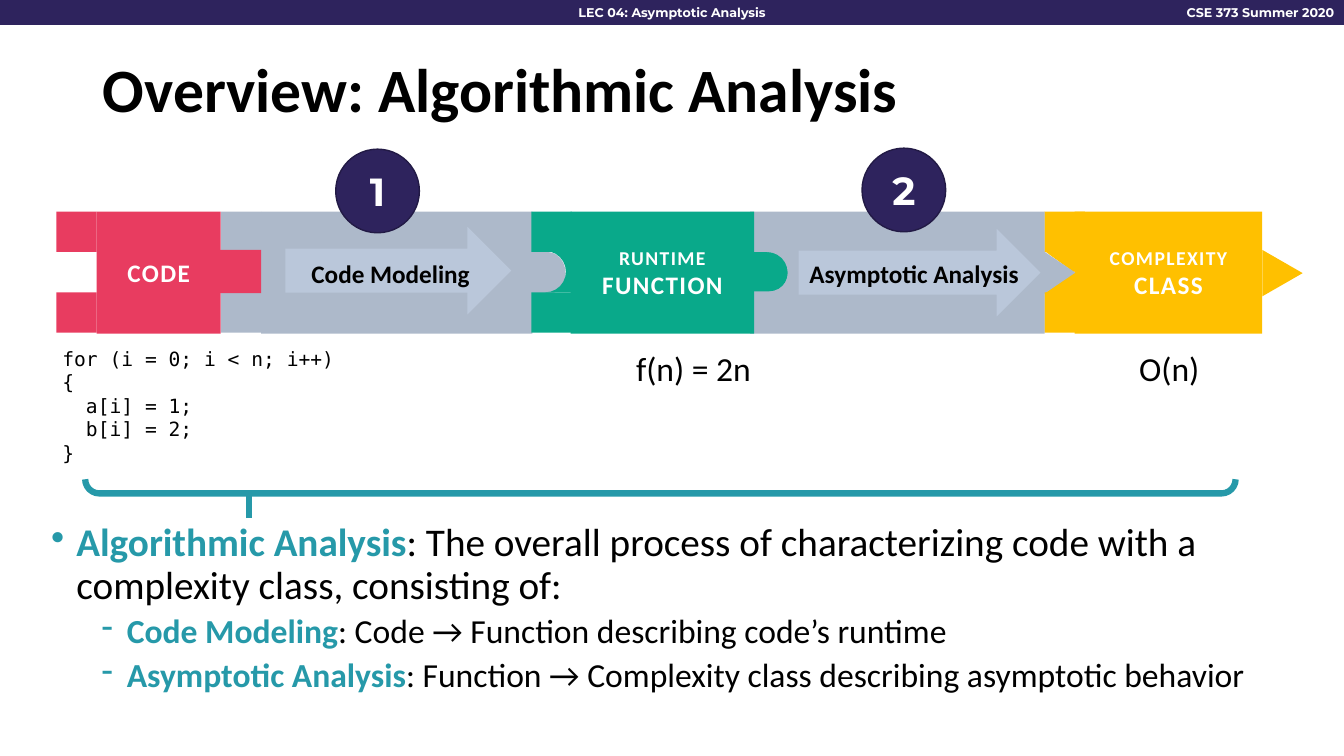
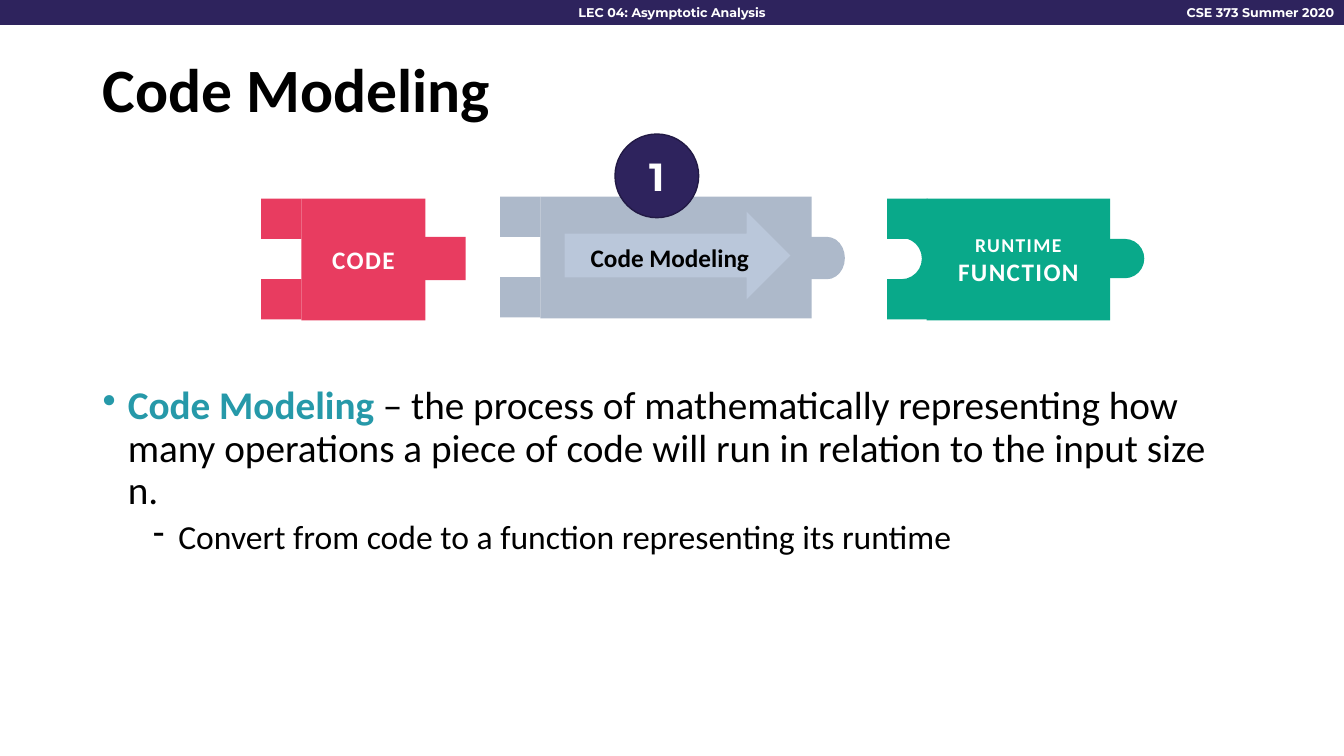
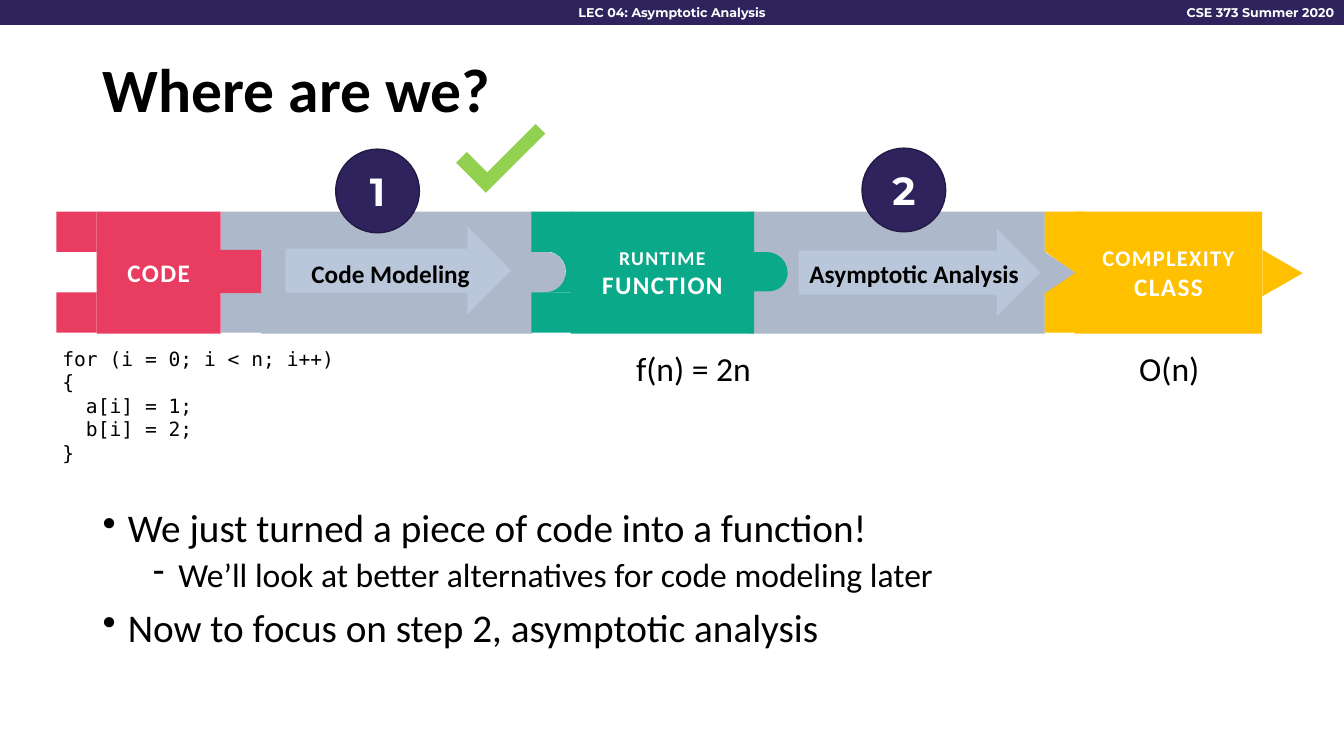
from lxml.etree import SubElement
from pptx import Presentation
from pptx.dml.color import RGBColor
from pptx.enum.shapes import MSO_CONNECTOR, MSO_SHAPE
from pptx.enum.text import MSO_ANCHOR, MSO_AUTO_SIZE, PP_ALIGN
from pptx.oxml.ns import qn
from pptx.util import Emu, Pt

SCALE = 9144  # EMU in one px, 100 px to the inch
COLORS = {
    "purple": "2E235D", "purple edge": "221A45", "white": "FFFFFF", "black": "000000",
    "red": "E83C60", "gray": "ADB9CA", "arrow": "BAC7DA", "green": "09A98A",
    "yellow": "FFC000", "teal": "2699A9", "check": "92D050",
}
BODY_FONT, CODE_FONT, HEADER_FONT = "Calibri", "DejaVu Sans Mono", "Montserrat"
TERM = {"color": "teal", "bold": True}
CODE_LINES = ["for (i = 0; i < n; i++) {", "  a[i] = 1;", "  b[i] = 2;", "}"]
# Bullet levels: character, left margin, size, space before
LEVELS = [("•", 25, 28, 10), ("-", 75, 24, 5)]


def px(length):
    return Emu(round(length * SCALE))


def rgb(name):
    return RGBColor.from_string(COLORS[name])


def write(frame, lines, size=18, color="black", bold=False, font=BODY_FONT,
          align=None, tracking=0, line_spacing=None):
    """Fill a frame; a line is a string or a list of (text, format overrides)."""
    paragraphs = []
    for index, line in enumerate(lines):
        paragraph = frame.add_paragraph() if index else frame.paragraphs[0]
        paragraph.alignment = align
        if line_spacing:
            paragraph.line_spacing = line_spacing
        for text, changes in [(line, {})] if isinstance(line, str) else line:
            run = paragraph.add_run()
            run.text = text
            run.font.name = font
            run.font.size = Pt(changes.get("size", size))
            run.font.bold = changes.get("bold", bold)
            run.font.color.rgb = rgb(changes.get("color", color))
            if tracking:
                run.font._element.set("spc", str(tracking * 100))
        paragraphs.append(paragraph)
    return paragraphs


class Deck:
    """Holds the style, the current slide and the origin of the piece being drawn."""

    def __init__(self):
        self.presentation = Presentation()
        self.presentation.slide_width = px(1333)
        self.presentation.slide_height = px(750)
        self.slide = None
        self.origin = (0, 0)

    def place(self, left, top, width, height):
        dx, dy = self.origin
        return px(left + dx), px(top + dy), px(width), px(height)

    def new_slide(self, title):
        self.slide = self.presentation.slides.add_slide(self.presentation.slide_layouts[5])
        self.origin = (0, 0)
        self.shape(MSO_SHAPE.RECTANGLE, -3, -1, 1337, 25, "purple", line="purple")
        header = {"size": 9, "font": HEADER_FONT, "color": "white", "bold": True}
        self.text(["CSE 373 Summer 2020"], 1156, 0, 177, 25, align=PP_ALIGN.RIGHT, **header)
        self.text(["LEC 04: Asymptotic Analysis"], 328, 0, 677, 25,
                  align=PP_ALIGN.CENTER, **header)
        placeholder = self.slide.shapes.title
        (placeholder.left, placeholder.top,
         placeholder.width, placeholder.height) = self.place(92, 50, 1150, 83)
        placeholder.text_frame.vertical_anchor = MSO_ANCHOR.MIDDLE
        write(placeholder.text_frame, [title], size=44, bold=True,
              align=PP_ALIGN.LEFT, line_spacing=0.9)

    def shape(self, kind, left, top, width, height, fill=None, line=None, line_width=1,
              rotation=0, flip=False, adjustments=()):
        shape = self.slide.shapes.add_shape(kind, *self.place(left, top, width, height))
        shape.shadow.inherit = False
        shape.rotation = rotation
        if fill:
            shape.fill.solid()
            shape.fill.fore_color.rgb = rgb(fill)
        else:
            shape.fill.background()
        if line:
            shape.line.color.rgb = rgb(line)
            shape.line.width = Pt(line_width)
        else:
            shape.line.fill.background()
        if flip:
            shape._element.spPr.find(qn("a:xfrm")).set("flipH", "1")
        for index, value in enumerate(adjustments):
            shape.adjustments[index] = value
        return shape

    def label(self, shape, lines, **text_format):
        shape.text_frame.vertical_anchor = MSO_ANCHOR.MIDDLE
        write(shape.text_frame, lines, color="white", bold=True,
              align=PP_ALIGN.CENTER, **text_format)

    def text(self, lines, left, top, width, height, wrap=True, **text_format):
        box = self.slide.shapes.add_textbox(*self.place(left, top, width, height))
        box.text_frame.word_wrap = wrap
        if not wrap:
            box.text_frame.auto_size = MSO_AUTO_SIZE.SHAPE_TO_FIT_TEXT
        return write(box.text_frame, lines, **text_format)

    def bullets(self, items, left, top, width, height):
        """Items are (level, list of runs)."""
        lines = [[(text, {"size": LEVELS[level][2], **changes}) for text, changes in runs]
                 for level, runs in items]
        paragraphs = self.text(lines, left, top, width, height, line_spacing=0.9)
        for index, (paragraph, (level, _)) in enumerate(zip(paragraphs, items)):
            character, margin, _, space = LEVELS[level]
            paragraph.level = level
            if index:
                paragraph.space_before = Pt(space)
            properties = paragraph._p.get_or_add_pPr()
            properties.set("marL", str(px(margin)))
            properties.set("indent", str(px(-25)))
            SubElement(properties, qn("a:buChar")).set("char", character)

    def line(self, x1, y1, x2, y2, color, width):
        connector = self.slide.shapes.add_connector(
            MSO_CONNECTOR.STRAIGHT, px(x1), px(y1), px(x2), px(y2))
        connector.line.color.rgb = rgb(color)
        connector.line.width = Pt(width)
        SubElement(connector._element.spPr, qn("a:effectLst"))

    def block(self, left, width, color, lines=(), top=210):
        block = self.shape(MSO_SHAPE.RECTANGLE, left, top, width, 121, color)
        self.label(block, lines, tracking=1)

    def notch_sides(self, left, color):
        """The two squares above and below the notch of a puzzle piece."""
        for top in (210, 290):
            self.shape(MSO_SHAPE.RECTANGLE, left, top, 40, 40, color)

    def round_joint(self, left, top, width, height, color):
        """A bar with a hollow left end and a rounded right end."""
        self.shape(MSO_SHAPE.FLOWCHART_STORED_DATA, left, top, width, height, color, flip=True)

    def step_arrow(self, text, left, top, width, text_left, text_width):
        self.shape(MSO_SHAPE.RIGHT_ARROW, left, top, width, 87, "arrow")
        self.text([text], text_left, 251, text_width, 40, wrap=False, bold=True)

    def step_number(self, number, left, top):
        circle = self.shape(MSO_SHAPE.OVAL, left, top, 83, 83, "purple", line="purple edge")
        self.label(circle, [number], size=28, font=HEADER_FONT)

    def code_piece(self, dx=0, dy=0):
        self.origin = (dx, dy)
        self.block(96, 123, "red", ["CODE"])
        self.shape(MSO_SHAPE.RECTANGLE, 213, 248, 46, 43, "red")
        self.notch_sides(56, "red")

    def modeling_piece(self, dx=0, dy=0):
        self.origin = (dx, dy)
        self.notch_sides(219, "gray")
        self.block(259, 269, "gray")
        self.round_joint(455, 250, 106, 42, "gray")
        self.step_arrow("Code Modeling", 283, 225, 224, 299, 178)
        self.step_number("1", 333, 148)

    def runtime_piece(self, dx=0, dy=0):
        self.origin = (dx, dy)
        self.round_joint(666, 250, 116, 39, "green")
        self.round_joint(541, 249, 122, 41, "green")
        self.notch_sides(527, "green")
        self.block(566, 182, "green", [[("RUNTIME", {"size": 14})], "FUNCTION"])

    def complexity_piece(self, caption_size):
        self.block(1066, 186, "yellow", [[("COMPLEXITY", {"size": caption_size})], "CLASS"])
        self.shape(MSO_SHAPE.FLOWCHART_COLLATE, 1036, 249, 58, 42, "yellow")
        self.shape(MSO_SHAPE.ISOSCELES_TRIANGLE, 1030, 255, 42, 31, "gray", rotation=90)
        self.notch_sides(1036, "yellow")
        self.shape(MSO_SHAPE.ISOSCELES_TRIANGLE, 1249, 251, 46, 40, "yellow", rotation=90)

    def pipeline(self, caption_size):
        """The joined puzzle from code to complexity class, with its example below."""
        self.complexity_piece(caption_size)
        self.block(744, 292, "gray")
        self.modeling_piece()
        self.code_piece()
        self.runtime_piece()
        self.round_joint(761, 250, 122, 41, "gray")
        self.step_arrow("Asymptotic Analysis", 792, 227, 240, 793, 229)
        self.step_number("2", 855, 147)
        self.text(CODE_LINES, 52, 339, 292, 104, size=14, font=CODE_FONT)
        self.text(["O(n)"], 1120, 340, 81, 50, wrap=False, size=24)
        self.text(["f(n) = 2n"], 621, 340, 135, 50, wrap=False, size=24)


def overview_slide(deck):
    deck.new_slide("Overview: Algorithmic Analysis")
    deck.pipeline(caption_size=14)
    deck.bullets([
        (0, [("Algorithmic Analysis", TERM),
             (": The overall process of characterizing code with a complexity class, "
              "consisting of:", {})]),
        (1, [("Code Modeling", TERM), (": Code → Function describing code’s runtime", {})]),
        (1, [("Asymptotic Analysis", TERM),
             (": Function → Complexity class describing asymptotic behavior", {})]),
    ], 41, 514, 1251, 186)
    deck.shape(MSO_SHAPE.LEFT_BRACKET, 648, -88, 14, 1141, line="teal", line_width=4.5,
               rotation=270, adjustments=[1])
    deck.line(247, 514, 247, 489, "teal", 4.5)


def code_modeling_slide(deck):
    deck.new_slide("Code Modeling")
    deck.bullets([
        (0, [("Code Modeling ", TERM),
             ("– the process of mathematically representing how many operations a piece "
              "of code will run in relation to the input size n.", {})]),
        (1, [("Convert from code to a function representing its runtime", {})]),
    ], 92, 378, 1150, 298)
    deck.modeling_piece(277, -15)
    deck.code_piece(203, -13)
    deck.runtime_piece(353, -13)


def progress_slide(deck):
    deck.new_slide("Where are we?")
    deck.bullets([
        (0, [("We just turned a piece of code into a function!", {})]),
        (1, [("We’ll look at better alternatives for code modeling later", {})]),
        (0, [("Now to focus on step 2, asymptotic analysis", {})]),
    ], 92, 500, 1150, 176)
    deck.pipeline(caption_size=16)
    deck.shape(MSO_SHAPE.CORNER, 455, 126, 83, 42, "check", rotation=315,
               adjustments=[0.32, 0.36])


def main():
    deck = Deck()
    overview_slide(deck)
    code_modeling_slide(deck)
    progress_slide(deck)
    deck.presentation.save("out.pptx")


if __name__ == "__main__":
    main()
